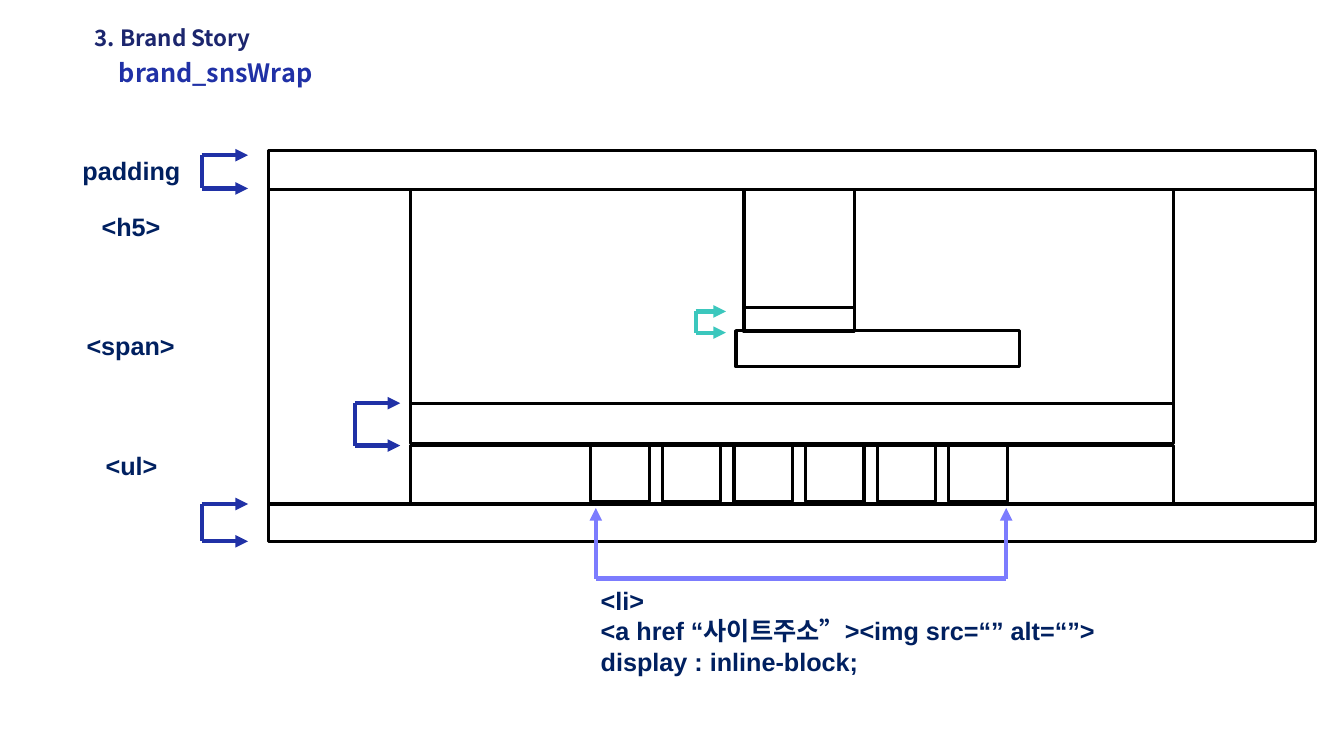
from collections import namedtuple

from lxml import etree
from pptx import Presentation
from pptx.dml.color import RGBColor
from pptx.enum.shapes import MSO_CONNECTOR, MSO_SHAPE
from pptx.enum.text import MSO_ANCHOR, MSO_AUTO_SIZE, PP_ALIGN
from pptx.oxml.ns import qn
from pptx.util import Inches, Pt

RECTANGLE = MSO_SHAPE.RECTANGLE
STRAIGHT = MSO_CONNECTOR.STRAIGHT
TOP = MSO_ANCHOR.TOP
LEFT = PP_ALIGN.LEFT
FIT_SHAPE = MSO_AUTO_SIZE.SHAPE_TO_FIT_TEXT
NO_FIT = MSO_AUTO_SIZE.NONE

BLACK = RGBColor(0x00, 0x00, 0x00)
INDIGO = RGBColor(0x1C, 0x26, 0x6E)
BLUE = RGBColor(0x20, 0x31, 0xA6)
NAVY = RGBColor(0x00, 0x20, 0x60)
TEAL = RGBColor(0x3B, 0xC7, 0xBD)
LILAC = RGBColor(0x7C, 0x7C, 0xFE)

LATIN_FONT = "Arial"
KOREAN_FONT = "Noto Sans CJK KR"
FRAME_WIDTH = 2.25
BRACKET_WIDTH = 3
LABEL_HEIGHT = 0.4
TITLE_HEIGHT = 0.37

Box = namedtuple("Box", "left top width height")

HEADING = Box(0.84, 0.19, 2.53, 0.73)
LABELS = Box(0.72, 1.49, 1.26, 3.88)
WIREFRAME = Box(2.66, 1.49, 10.39, 3.88)
ITEM_NOTE = Box(5.86, 5.04, 5.34, 1.73)

BAND = 0.39  # height of the padding strips
ITEM_COUNT = 6
ITEM_SIZE = 0.58
ITEM_STEP = 0.71


def write(shape, lines, size, font, colour):
    frame = shape.text_frame
    frame.vertical_anchor = TOP
    for index, line in enumerate(lines):
        para = frame.paragraphs[0] if index == 0 else frame.add_paragraph()
        para.alignment = LEFT
        span = para.add_run()
        span.text = line
        span.font.size = Pt(size)
        span.font.bold = True
        span.font.name = font
        span.font.color.rgb = colour
        east_asian = etree.SubElement(span.font._element, qn("a:ea"))
        east_asian.set("typeface", KOREAN_FONT)


def add_text(page, box, lines, font=LATIN_FONT, colour=NAVY):
    shape = page.shapes.add_textbox(*map(Inches, box))
    shape.text_frame.word_wrap = True
    shape.text_frame.auto_size = FIT_SHAPE
    write(shape, lines, 18, font, colour)


def add_frame(page, left, top, width, height):
    frame = page.shapes.add_shape(RECTANGLE, *map(Inches, (left, top, width, height)))
    frame.shadow.inherit = False
    frame.fill.background()
    frame.line.color.rgb = BLACK
    frame.line.width = Pt(FRAME_WIDTH)


def add_line(shapes, start, end, colour, width, arrow=False):
    line = shapes.add_connector(STRAIGHT, *map(Inches, (*start, *end)))
    line.line.color.rgb = colour
    line.line.width = Pt(width)
    if arrow:
        tail = etree.SubElement(line.line._get_or_add_ln(), qn("a:tailEnd"))
        tail.set("type", "triangle")
    etree.SubElement(line._element.spPr, qn("a:effectLst"))


def add_bracket(page, start, end, colour, across=0, up=0):
    """Join start to end, with an arrow leaving each of them."""
    shapes = page.shapes.add_group_shape().shapes
    for x, y in (start, end):
        add_line(shapes, (x, y), (x + across, y - up), colour, BRACKET_WIDTH, True)
    add_line(shapes, start, end, colour, BRACKET_WIDTH)


def add_heading(page, box):
    title = page.shapes.title
    title.left, title.top = Inches(box.left), Inches(box.top)
    title.width, title.height = Inches(2.04), Inches(TITLE_HEIGHT)
    title.text_frame.auto_size = NO_FIT
    write(title, ["3. Brand Story"], 16, KOREAN_FONT, INDIGO)
    indent = 0.24
    subtitle = Box(box.left + indent, box.top + 0.33, box.width - indent, LABEL_HEIGHT)
    add_text(page, subtitle, ["brand_snsWrap"], KOREAN_FONT, BLUE)


def add_labels(page, box):
    labels = (
        ("padding", 0, 0, 1.26),
        ("<h5>", 0.19, 0.56, 0.88),
        ("<span>", 0.04, 1.74, 1.18),
        ("<ul>", 0.23, 2.93, 0.8),
    )
    for text, indent, drop, width in labels:
        add_text(page, Box(box.left + indent, box.top + drop, width, LABEL_HEIGHT), [text])


def add_wireframe(page, box):
    left, top, width, height = box
    body_top = top + BAND
    body_bottom = top + height - BAND + 0.02
    add_frame(page, left, body_top, width, body_bottom - body_top)
    add_frame(page, *box)

    margin = 1.41
    inner_left, inner_width = left + margin, width - 2 * margin
    list_top = top + 2.93
    gap_top = list_top - 0.42
    add_frame(page, inner_left, body_top, inner_width, list_top - body_top - 0.02)
    add_frame(page, inner_left, list_top, inner_width, body_bottom - list_top)
    add_line(page.shapes, (inner_left, gap_top), (inner_left + inner_width, gap_top),
             BLACK, FRAME_WIDTH)

    icon_left = left + 4.72
    for icon_height in (1.41, 1.17):
        add_frame(page, icon_left, body_top, 1.1, icon_height)
    add_frame(page, icon_left - 0.08, top + 1.79, 2.81, 0.36)
    for index in range(ITEM_COUNT):
        add_frame(page, left + 3.2 + index * ITEM_STEP, list_top, ITEM_SIZE, 0.56)

    brackets = (
        (left - 0.66, top + 0.05, body_top - 0.01, 0.46, BLUE),
        (left - 0.66, body_bottom, top + height, 0.46, BLUE),
        (inner_left - 0.55, gap_top, list_top, 0.45, BLUE),
        (icon_left - 0.48, top + 1.6, top + 1.81, 0.3, TEAL),
    )
    for x, upper, lower, reach, colour in brackets:
        add_bracket(page, (x, upper), (x, lower), colour, across=reach)


def add_item_note(page, box):
    rise = 0.7
    base = box.top + rise
    first = box.left + 0.05
    last = box.left + (ITEM_COUNT - 1) * ITEM_STEP + ITEM_SIZE - 0.01
    add_bracket(page, (first, base), (last, base), LILAC, up=rise)
    text_top = base + 0.02
    add_text(
        page,
        Box(box.left, text_top, box.width, box.top + box.height - text_top),
        ["<li>", "<a href “사이트주소”><img src=“” alt=“”>", "display : inline-block;"],
    )


def main():
    deck = Presentation()
    deck.slide_width, deck.slide_height = Inches(13.33), Inches(7.5)
    page = deck.slides.add_slide(deck.slide_layouts[5])
    add_heading(page, HEADING)
    add_labels(page, LABELS)
    add_wireframe(page, WIREFRAME)
    add_item_note(page, ITEM_NOTE)
    deck.save("out.pptx")


if __name__ == "__main__":
    main()
